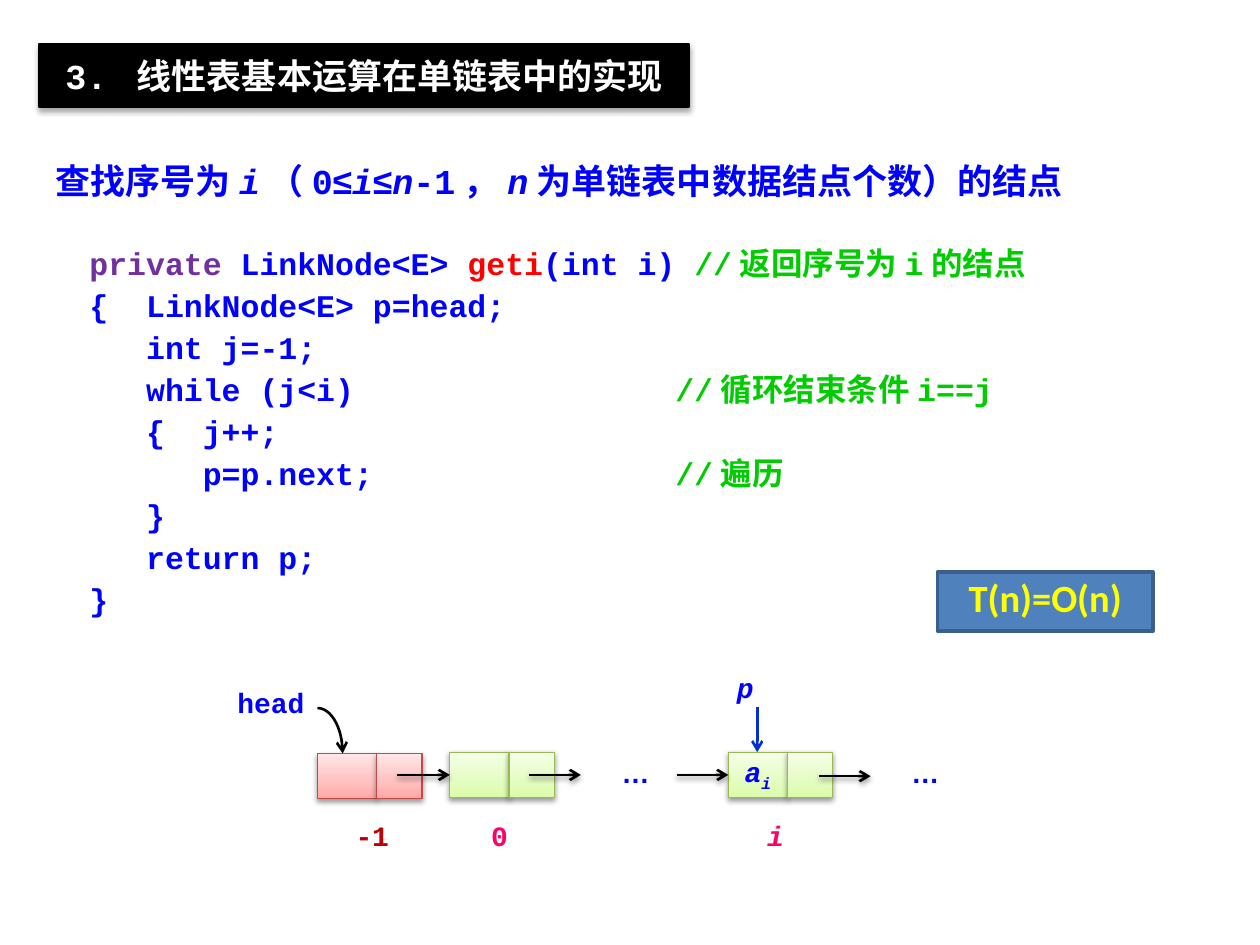
from copy import deepcopy
from dataclasses import dataclass

from lxml.etree import SubElement as Sub
from pptx import Presentation
from pptx.dml.color import RGBColor
from pptx.enum.shapes import MSO_CONNECTOR as Link, MSO_SHAPE as Shape
from pptx.enum.text import MSO_ANCHOR as Anchor, PP_ALIGN as Align
from pptx.oxml.ns import qn
from pptx.util import Pt

PX = 9144
CODE, SANS = "Courier New", "Arial"
BLUE, GREEN, PINK, BLACK, WHITE = "0000FF", "00CC00", "FF0066", "000000", "FFFFFF"
RED_NODE = ("FFA6A5", "FFC0BF", "FFE7E7"), "BF4C48"
LIME_NODE = ("DAFDA7", "E4FCC2", "F5FFE7"), "98B955"


def rgb(hue):
    return RGBColor.from_string(hue)


def px(*nums):
    return [n * PX for n in nums]


@dataclass
class Run:
    words: str
    hue: str = BLUE
    tilt: bool = False
    face: str = CODE
    base: int = 0


class Board:
    """Holds the text style and the slide being drawn."""

    def __init__(self, slide, size=16):
        self.slide = slide
        self.size = size

    def shade(self, item, alpha=0, dist=1.6):
        fx = Sub(item._element.spPr, qn("a:effectLst"))
        if alpha:
            cast = Sub(fx, qn("a:outerShdw"), blurRad=str(Pt(3.1)), dist=str(Pt(dist)),
                       dir="5400000", rotWithShape="0")
            tint = Sub(cast, qn("a:srgbClr"), val=BLACK)
            Sub(tint, qn("a:alpha"), val=str(alpha * 1000))

    def edge(self, item, hue, width=0.75, head=False):
        item.line.color.rgb = rgb(hue)
        item.line.width = Pt(width)
        if head:
            Sub(item.line._get_or_add_ln(), qn("a:tailEnd"), type="arrow")

    def letter(self, item, rows, size=None, align=Align.CENTER, space=None,
               inset=(10, 5, 10, 5), anchor=Anchor.TOP, tab=None):
        frame = item.text_frame
        frame.word_wrap = True
        frame.vertical_anchor = anchor
        (frame.margin_left, frame.margin_top,
         frame.margin_right, frame.margin_bottom) = px(*inset)
        for n, row in enumerate(rows):
            para = frame.add_paragraph() if n else frame.paragraphs[0]
            para.alignment = align
            if space:
                para.line_spacing = space
            if tab:
                tabs = Sub(para._p.get_or_add_pPr(), qn("a:tabLst"))
                Sub(tabs, qn("a:tab"), pos=str(tab * PX), algn="l")
            for run in row:
                part = para.add_run()
                part.text = run.words
                font = part.font
                font.name, font.size = run.face, Pt(size or self.size)
                font.bold, font.italic = True, run.tilt
                font.color.rgb = rgb(run.hue)
                if run.base:
                    part._r.get_or_add_rPr().set("baseline", str(run.base * 1000))

    def title(self, area, words):
        item = self.slide.shapes.title
        item.left, item.top, item.width, item.height = px(*area)
        item.fill.solid()
        item.fill.fore_color.rgb = rgb(BLACK)
        self.edge(item, BLACK)
        self.shade(item, 35, 1.8)
        self.letter(item, [[Run(words, WHITE)]], 20, inset=(10, 8, 10, 8))

    def label(self, area, row, **style):
        self.letter(self.slide.shapes.add_textbox(*px(*area)), [row], **style)

    def panel(self, area, rows, fill=WHITE, line=None, **style):
        item = self.slide.shapes.add_shape(Shape.RECTANGLE, *px(*area))
        item.shadow.inherit = False
        item.fill.solid()
        item.fill.fore_color.rgb = rgb(fill)
        if line:
            self.edge(item, line, 2)
        else:
            item.line.fill.background()
        self.letter(item, rows, **style)

    def cell(self, area, hues, line):
        item = self.slide.shapes.add_shape(Shape.RECTANGLE, *px(*area))
        item.fill.gradient()
        item.fill.gradient_angle = 90
        stops = item._element.spPr.find(".//" + qn("a:gsLst"))
        stops.append(deepcopy(stops[-1]))
        for stop, hue, spot in zip(item.fill.gradient_stops, hues, (0, 0.35, 1)):
            stop.color.rgb = rgb(hue)
            stop.position = spot
        self.edge(item, line)
        self.shade(item, 38)
        return item

    def node(self, left, top, look, row=()):
        data = self.cell((left, top, 47, 36), *look)
        if row:
            self.letter(data, [row], space=Pt(23), inset=(0, 0, 0, 0))
        self.cell((left + 47, top, 36, 36), *look)

    def arrow(self, start, end, hue=BLACK, alpha=38):
        item = self.slide.shapes.add_connector(Link.STRAIGHT, *px(*start, *end))
        self.edge(item, hue, 1.5, True)
        self.shade(item, alpha)

    def curve(self, knots, steps=24):
        dots = []
        for n in range(steps + 1):
            t = n / steps
            mix = (1 - t) ** 3, 3 * t * (1 - t) ** 2, 3 * t * t * (1 - t), t ** 3
            dots.append([round(PX * sum(m * k[axis] for m, k in zip(mix, knots)))
                         for axis in (0, 1)])
        pen = self.slide.shapes.build_freeform(*dots[0], scale=1.0)
        pen.add_line_segments(dots[1:], close=False)
        item = pen.convert_to_shape()
        item.fill.background()
        self.edge(item, BLACK, 1.5, True)
        self.shade(item)


def main():
    deck = Presentation()
    deck.slide_width, deck.slide_height = px(1000, 750)
    board = Board(deck.slides.add_slide(deck.slide_layouts[5]))

    board.title((31, 35, 516, 50), "3. 线性表基本运算在单链表中的实现")
    board.label((34, 122, 831, 44), [
        Run("查找序号为"), Run("i", tilt=True), Run("（0"), Run("≤", face=SANS),
        Run("i", tilt=True), Run("≤", face=SANS), Run("n", tilt=True), Run("-1，"),
        Run("n", tilt=True), Run("为单链表中数据结点个数）的结点"),
    ], size=20, align=Align.LEFT)
    board.panel((51, 178, 831, 325), [
        [Run("private ", "7030A0"), Run("LinkNode<E> "), Run("geti", "FF0000"),
         Run("(int i) "), Run("//返回序号为i的结点", GREEN)],
        [Run("{  LinkNode<E> p=head;")],
        [Run("   int j=-1;")],
        [Run("   while (j<i)\t"), Run("//循环结束条件i==j", GREEN)],
        [Run("   {  j++;")],
        [Run("      p=p.next;\t"), Run("//遍历", GREEN)],
        [Run("   }")],
        [Run("   return p;")],
        [Run("}")],
    ], size=18, align=Align.LEFT, space=Pt(24), inset=(20, 12, 10, 12), tab=465)

    flat = dict(inset=(0, 0, 0, 0))
    board.node(252, 598, RED_NODE)
    board.panel((178, 544, 74, 29), [[Run("head")]], **flat)
    board.curve([(252, 562), (263, 562), (272, 578), (272, 598)])
    board.node(357, 597, LIME_NODE)
    board.node(578, 597, LIME_NODE, [Run("a", tilt=True), Run("i", tilt=True, base=-25)])
    for left in (483, 713):
        board.panel((left, 600, 43, 29), [[Run("…", face=SANS)]], **flat)
    for left, right, top in ((315, 357, 615), (420, 461, 615),
                             (537, 578, 615), (650, 691, 616)):
        board.arrow((left, top), (right, top))
    board.arrow((601, 548), (601, 597), "0033CC", 0)
    board.panel((576, 532, 31, 29), [[Run("p", tilt=True)]], **flat)

    for left, run in ((264, Run("-1", "C00000")), (365, Run("0", PINK)),
                      (584, Run("i", PINK, True))):
        board.label((left, 650, 63, 32), [run], space=0.8)
    board.panel((744, 454, 171, 47), [[Run("T(n)=O(n)", "FFFF00", face="Calibri")]],
                "4F81BD", "3A5F8C", size=22, space=0.8, anchor=Anchor.MIDDLE)
    deck.save("out.pptx")


if __name__ == "__main__":
    main()
